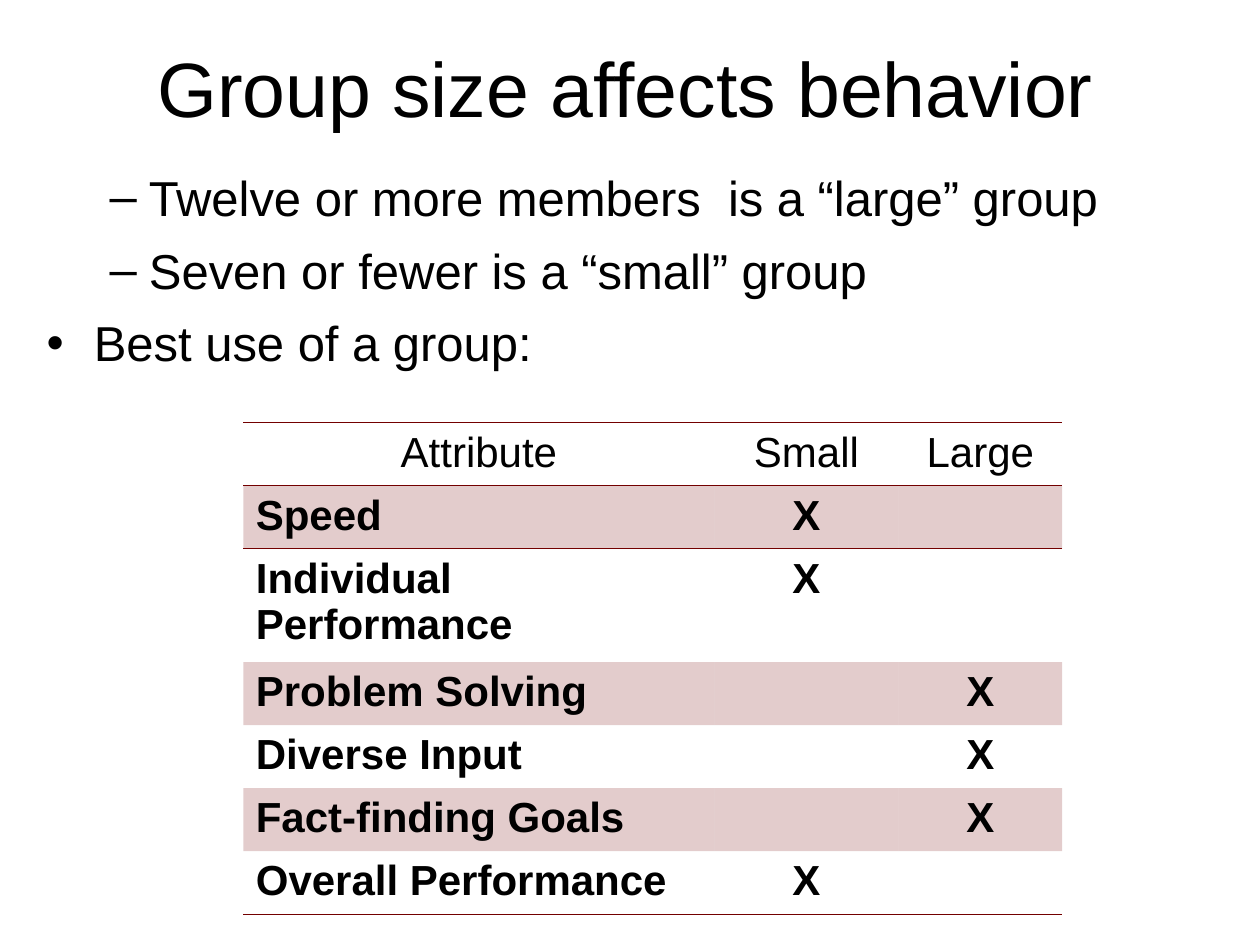
from lxml import etree
from pptx import Presentation
from pptx.dml.color import RGBColor
from pptx.enum.text import MSO_ANCHOR, MSO_AUTO_SIZE, PP_ALIGN
from pptx.oxml.ns import qn
from pptx.util import Pt

BLACK = RGBColor(0x00, 0x00, 0x00)
MAROON = RGBColor(0x73, 0x00, 0x00)
LEFT, CENTER = PP_ALIGN.LEFT, PP_ALIGN.CENTER
MIDDLE, TOP = MSO_ANCHOR.MIDDLE, MSO_ANCHOR.TOP
FIXED_SIZE = MSO_AUTO_SIZE.NONE

FONT = "Arial"
NO_STYLE_NO_GRID = "{2D5ABB26-0587-4C30-8999-92F81FD0307C}"
BAND_ALPHA = 20000
RULE_WIDTH = Pt(0.45)

# Level, bullet, left margin, hanging indent
DASH = (1, "–", 58.5, 22.5)
DOT = (0, "•", 27, 27)
POINTS = [
    ("Twelve or more members  is a “large” group", DASH),
    ("Seven or fewer is a “small” group", DASH),
    ("Best use of a group:", DOT),
]

COLUMN_WIDTHS = [269.3, 105.1, 93.6]
ROW_HEIGHT, TALL_ROW_HEIGHT = 36, 64.8
ATTRIBUTES = [
    ("Attribute", "Small", "Large"),
    ("Speed", "X", ""),
    ("Individual Performance", "X", ""),
    ("Problem Solving", "", "X"),
    ("Diverse Input", "", "X"),
    ("Fact-finding Goals", "", "X"),
    ("Overall Performance", "X", ""),
]
TALL_ROW = 2


def write_text(paragraph, text, size, align=LEFT, bold=False, before=0):
    paragraph.text = text
    paragraph.alignment = align
    paragraph.space_before = Pt(before)
    font = paragraph.font
    font.name, font.size, font.bold = FONT, Pt(size), bold
    font.color.rgb = BLACK


def place(placeholder, left, top, width, height, anchor):
    placeholder.left, placeholder.top = Pt(left), Pt(top)
    placeholder.width, placeholder.height = Pt(width), Pt(height)
    frame = placeholder.text_frame
    frame.word_wrap = True
    frame.auto_size = FIXED_SIZE
    frame.vertical_anchor = anchor
    return frame


def set_bullet(paragraph, level, character, margin, hanging):
    paragraph.level = level
    properties = paragraph._p.get_or_add_pPr()
    properties.set("marL", str(Pt(margin)))
    properties.set("indent", str(-Pt(hanging)))
    etree.SubElement(properties, qn("a:buChar")).set("char", character)


def add_title(slide):
    frame = place(slide.shapes.title, 36, 21.6, 648, 55.4, MIDDLE)
    frame.margin_left = Pt(14.4)
    # The closing space is part of the centred line
    write_text(frame.paragraphs[0], "Group size affects behavior ", 44, align=CENTER)


def add_points(slide):
    frame = place(slide.placeholders[1], 19.4, 92, 648, 182, TOP)
    for index, (text, bullet) in enumerate(POINTS):
        paragraph = frame.add_paragraph() if index else frame.paragraphs[0]
        set_bullet(paragraph, *bullet)
        write_text(paragraph, text, 28, before=8 if index else 0)


def add_rule(cell, side):
    line = etree.Element(qn(f"a:{side}"), w=str(RULE_WIDTH))
    fill = etree.SubElement(line, qn("a:solidFill"))
    etree.SubElement(fill, qn("a:srgbClr")).set("val", str(MAROON))
    # Borders come before the fill
    cell._tc.get_or_add_tcPr().insert(0, line)


def fill_cell(cell, banded):
    if not banded:
        cell.fill.background()
        return
    cell.fill.solid()
    cell.fill.fore_color.rgb = MAROON
    color = cell._tc.tcPr.find(f".//{qn('a:srgbClr')}")
    etree.SubElement(color, qn("a:alpha")).set("val", str(BAND_ALPHA))


def add_attribute_table(slide):
    last_row = len(ATTRIBUTES) - 1
    frame = slide.shapes.add_table(
        len(ATTRIBUTES), len(COLUMN_WIDTHS), Pt(139), Pt(241.6),
        Pt(sum(COLUMN_WIDTHS)), Pt(last_row * ROW_HEIGHT + TALL_ROW_HEIGHT))
    frame.element.find(f".//{qn('a:tableStyleId')}").text = NO_STYLE_NO_GRID
    table = frame.table
    for column, width in zip(table.columns, COLUMN_WIDTHS):
        column.width = Pt(width)

    for row, texts in enumerate(ATTRIBUTES):
        table.rows[row].height = Pt(TALL_ROW_HEIGHT if row == TALL_ROW else ROW_HEIGHT)
        for column, text in enumerate(texts):
            cell = table.cell(row, column)
            is_label = row > 0 and column == 0
            write_text(cell.text_frame.paragraphs[0], text, 24,
                       align=LEFT if is_label else CENTER, bold=row > 0)
            fill_cell(cell, banded=row % 2 == 1)
            # Rules above and below the header, and under the last row
            if row in (0, last_row):
                add_rule(cell, "lnB")
            if row in (0, 1):
                add_rule(cell, "lnT")


def main():
    presentation = Presentation()
    presentation.slide_width, presentation.slide_height = Pt(720), Pt(540)
    slide = presentation.slides.add_slide(presentation.slide_layouts[1])
    add_title(slide)
    add_points(slide)
    add_attribute_table(slide)
    presentation.save("out.pptx")


if __name__ == "__main__":
    main()
